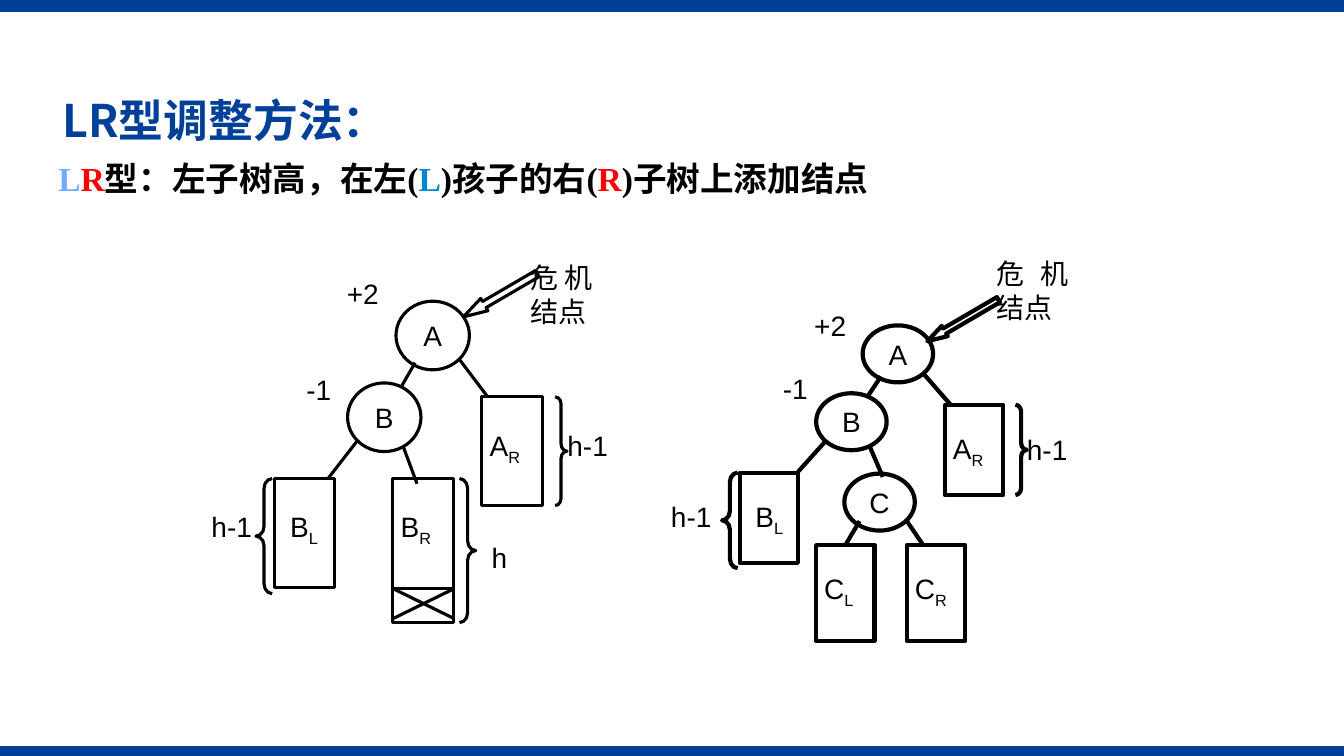
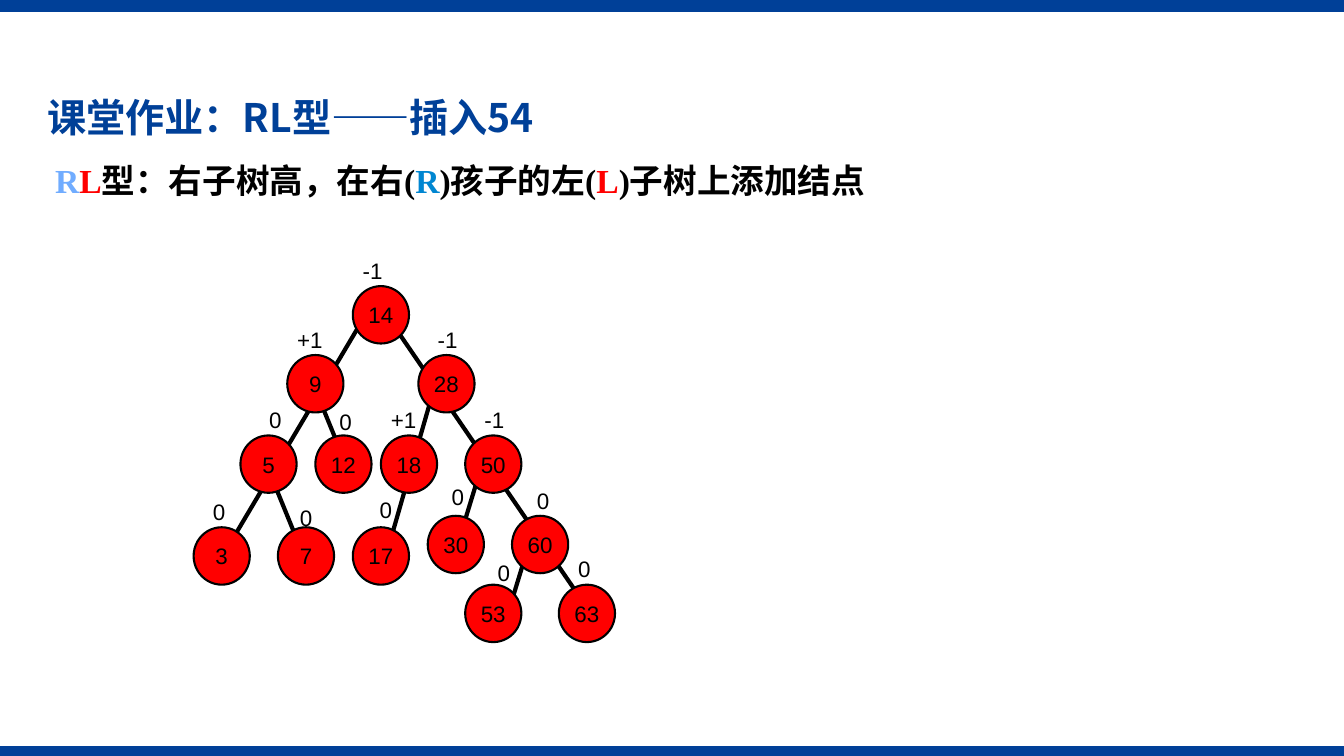
from dataclasses import dataclass

from lxml.etree import SubElement
from pptx import Presentation
from pptx.dml.color import RGBColor
from pptx.enum.shapes import MSO_CONNECTOR, MSO_SHAPE as Shape
from pptx.enum.text import MSO_ANCHOR as Anchor, PP_ALIGN as Align
from pptx.oxml.ns import qn
from pptx.util import Cm, Pt


@dataclass(frozen=True)
class Theme:
    """Colours, fonts and sizes that both slides share."""
    brand: str = "004098"
    ink: str = "000000"
    sky: str = "70ACFF"
    azure: str = "0086D1"
    red: str = "FF0000"
    cjk: str = "Noto Sans CJK SC"
    serif: str = "Times New Roman"
    sans: str = "Arial"
    intro: int = 24
    label: int = 20
    node: int = 16
    node_pen: float = 1.5
    branch_pen: float = 3
    width: float = 33.87
    height: float = 19.05


@dataclass(frozen=True)
class Case:
    """Place, scale and label positions of one unbalanced tree."""
    left: float
    top: float
    across: float
    down: float
    pen: float
    shift: float
    labels: tuple
    crisis: tuple

    def box(self, x, y, w, h):
        """Return a scaled local box in slide centimetres."""
        return (self.left + x * self.across, self.top + y * self.down,
                w * self.across, h * self.down)

    def point(self, x, y):
        """Return a scaled local point in slide centimetres."""
        return self.box(x, y, 0, 0)[:2]


THEME = Theme()

LABELS = ("+2", "-1", "h-1", "h-1")

PLAIN = Case(9.98, 7.59, 1, 1, 2.25, 0,
             ((-1.24, -0.71), (-2.26, 1.7), (-4.65, 5.16), (4.32, 3.1)),
             (3.38, -1.12, 1.57, 0.1))
DETAILED = Case(21.74, 8.2, 0.96, 0.83, 3, -0.16,
                ((-1.22, -0.53), (-2.01, 1.07), (-4.83, 4.29), (4.14, 2.59)),
                (3.38, -1.73, 1.8, 0))

NODES = (
    ("14", 17, 0, "-1", 17, -3),
    ("9", 10, 6, "+1", 10, 3),
    ("28", 24, 6, "-1", 25, 3),
    ("5", 5, 13, "0", 7, 10),
    ("12", 13, 13, "0", 14.5, 10.2),
    ("18", 20, 13, "+1", 20, 10),
    ("50", 29, 13, "-1", 30, 10),
    ("3", 0, 21, "0", 1, 18),
    ("7", 9, 21, "0", 10.3, 18.5),
    ("17", 17, 21, "0", 18.8, 17.8),
    ("30", 25, 20, "0", 26.5, 16.7),
    ("60", 34, 20, "0", 35.6, 17.1),
    ("53", 29, 26, "0", 31.4, 23.3),
    ("63", 39, 26, "0", 40, 23),
)
BRANCHES = (
    (31, 15, 28, 23), (36, 22, 33, 30), (13, 9, 17, 17), (8, 16, 12, 24),
    (26, 8, 20, 25), (21, 3, 42, 28), (18, 3, 2, 25),
)


def rgb(code):
    """Return a colour from its hex code."""
    return RGBColor.from_string(code)


def write(frame, runs, size, font=THEME.sans, bold=False, align=Align.LEFT,
          anchor=Anchor.TOP, insets=(0.25, 0.13), wrap=True):
    """Fill a text frame with (text, colour, subscript) runs."""
    frame.word_wrap = wrap
    frame.vertical_anchor = anchor
    frame.margin_left, frame.margin_top = map(Cm, insets)
    frame.margin_right = Cm(min(insets[0], 0.25))
    frame.margin_bottom = Cm(min(insets[1], 0.13))
    paragraph = frame.paragraphs[0]
    paragraph.alignment = align
    for text, colour, subscript in runs:
        run = paragraph.add_run()
        run.text = text
        run.font.name = font
        run.font.size = Pt(size)
        run.font.bold = bold
        run.font.color.rgb = rgb(colour)
        props = run._r.get_or_add_rPr()
        SubElement(props, qn("a:ea")).set("typeface", THEME.cjk)
        if subscript:
            props.set("baseline", "-25000")
    return paragraph


def add_text(slide, box, runs, size, **style):
    """Add a text box and return its paragraph."""
    frame = slide.shapes.add_textbox(*map(Cm, box)).text_frame
    return write(frame, runs, size, **style)


def add_figure(slide, kind, box, fill=None, pen=None, adjust=()):
    """Add a preset shape with a plain fill and outline."""
    figure = slide.shapes.add_shape(kind, *map(Cm, box))
    figure.shadow.inherit = False
    if fill:
        figure.fill.solid()
        figure.fill.fore_color.rgb = rgb(fill)
    else:
        figure.fill.background()
    if pen:
        figure.line.color.rgb = rgb(THEME.ink)
        figure.line.width = Pt(pen)
    else:
        figure.line.fill.background()
    for index, value in enumerate(adjust):
        figure.adjustments[index] = value
    return figure


def add_edge(slide, start, end, pen):
    """Draw a straight line between two points."""
    edge = slide.shapes.add_connector(
        MSO_CONNECTOR.STRAIGHT, *map(Cm, (*start, *end)))
    edge.line.color.rgb = rgb(THEME.ink)
    edge.line.width = Pt(pen)
    SubElement(edge._element.spPr, qn("a:effectLst"))
    return edge


def add_bands(slide):
    """Draw the top and bottom bands."""
    for top, height in ((0, 0.3), (THEME.height - 0.25, 0.25)):
        add_figure(slide, Shape.RECTANGLE, (0, top, THEME.width, height),
                   THEME.brand)


def add_title(slide, box, text, size, anchor):
    """Write the slide title."""
    title = add_text(slide, box, [(text, THEME.brand, False)], size,
                     font=THEME.cjk, bold=True, anchor=anchor)
    title.line_spacing = 0.9


def add_intro(slide, left, top, letters, sides):
    """Write the sentence that explains a rotation type."""
    (first, second), (high, inner) = letters, sides
    pieces = ((first, THEME.sky), (second, THEME.red),
              (f"型：{high}子树高，在{high}(", THEME.ink),
              (first, THEME.azure), (f")孩子的{inner}(", THEME.ink),
              (second, THEME.red), (")子树上添加结点", THEME.ink))
    add_text(slide, (left, top, 24.8, 1.27),
             [(text, colour, False) for text, colour in pieces],
             THEME.intro, font=THEME.serif, bold=True)


def add_label(slide, case, x, y, text):
    """Write a height or balance label near the tree."""
    add_text(slide, (case.left + x, case.top + y, 1.5, 1.1),
             [(text, THEME.ink, False)], THEME.label, insets=(0, 0.1))


def add_circle(slide, case, x, y, name):
    """Draw a named tree node."""
    circle = add_figure(slide, Shape.OVAL, case.box(x, y, 1.85, 1.73),
                        pen=case.pen)
    write(circle.text_frame, [(name, THEME.ink, False)], THEME.label,
          align=Align.CENTER, anchor=Anchor.MIDDLE, insets=(0, 0.1))


def add_subtree(slide, case, x, y, height, name, indent=0.2):
    """Draw a subtree block whose name has a subscript."""
    subtree = add_figure(slide, Shape.RECTANGLE,
                         case.box(x, y, 1.53, height), pen=case.pen)
    write(subtree.text_frame,
          [(name[0], THEME.ink, False), (name[1], THEME.ink, True)],
          THEME.label, insets=(indent, 0.69 * case.down + 0.1))
    return subtree


def add_brace(slide, case, kind, box):
    """Draw a brace that marks a height."""
    add_figure(slide, kind, case.box(*box), pen=case.pen, adjust=(0.6, 0.5))


def add_case(slide, case):
    """Draw the parts common to both unbalanced trees."""
    add_circle(slide, case, 0, 0, "A")
    add_circle(slide, case, -1.22, 2.06, "B")
    add_subtree(slide, case, -3.07 + case.shift, 4.47, 2.74, "BL", 0.4)
    add_subtree(slide, case, 2.16, 2.41, 2.74, "AR")
    add_brace(slide, case, Shape.LEFT_BRACE,
              (-3.53 + case.shift, 4.47, 0.41, 2.9))
    add_brace(slide, case, Shape.RIGHT_BRACE, (4.01, 2.41, 0.3, 2.74))
    for start, end in (((0.48, 1.55), (0.13, 2.16)),
                       ((-0.97, 3.51), (-1.7, 4.45)),
                       ((0.18, 3.66), (0.53, 4.6)),
                       ((1.6, 1.47), (2.31, 2.41))):
        add_edge(slide, case.point(*start), case.point(*end), case.pen)
    for text, (x, y) in zip(LABELS, case.labels):
        add_label(slide, case, x, y, text)
    arrow = add_figure(slide, Shape.LEFT_ARROW,
                       case.box(1.55, -0.33, 2.16, 0.36),
                       pen=case.pen, adjust=(0.5, 1.7))
    arrow.rotation = 329.7
    x, y, width, inset = case.crisis
    add_text(slide, (case.left + x, case.top + y, width, 1),
             [("危机结点", THEME.ink, False)], THEME.label,
             align=Align.JUSTIFY, insets=(0, inset))


def add_inserted_block(slide, case):
    """Draw the right subtree of B with its inserted node."""
    left, right, upper, lower = -0.08, 1.47, 7.24, 8
    add_subtree(slide, case, left, 4.47, 3.63, "BR")
    for start, end in (((left, upper), (right, upper)),
                       ((right, upper), (left, lower)),
                       ((left, upper), (right, lower))):
        add_edge(slide, case.point(*start), case.point(*end), case.pen)
    add_brace(slide, case, Shape.RIGHT_BRACE, (1.6, 4.47, 0.41, 3.63))
    add_label(slide, case, 2.41, 5.92, "h")


def add_expanded_child(slide, case):
    """Draw node C with its two subtrees."""
    add_circle(slide, case, -0.48, 4.5, "C")
    left_subtree = add_subtree(slide, case, -1.22, 6.67, 2.91, "CL")
    add_subtree(slide, case, 1.16, 6.67, 2.91, "CR")
    left_edge = add_edge(slide, case.point(-0.08, 5.94),
                         case.point(-0.46, 6.67), case.pen)
    left_edge.end_connect(left_subtree, 0)
    add_edge(slide, case.point(1.16, 5.94), case.point(1.59, 6.67), case.pen)


def add_search_tree(slide, left, top, width, height):
    """Draw the numbered tree on a grid of 45 columns and 31 rows."""
    column, row = width / 45, height / 31

    def spot(x, y):
        """Return a grid position in slide centimetres."""
        return left + x * column, top + y * row

    for x1, y1, x2, y2 in BRANCHES:
        add_edge(slide, spot(x1, y1), spot(x2, y2), THEME.branch_pen)
    for value, x, y, balance, balance_x, balance_y in NODES:
        node = add_figure(slide, Shape.OVAL,
                          (*spot(x, y), 6 * column, 5 * row),
                          THEME.red, THEME.node_pen)
        write(node.text_frame, [(value, THEME.ink, False)], THEME.node,
              align=Align.CENTER, anchor=Anchor.MIDDLE, wrap=False)
        add_text(slide, (*spot(balance_x, balance_y), 1.2, 0.94),
                 [(balance, THEME.ink, False)], THEME.node)


def build_method(slide):
    """Build the slide on the LR adjustment."""
    add_bands(slide)
    add_case(slide, PLAIN)
    add_inserted_block(slide, PLAIN)
    add_case(slide, DETAILED)
    add_expanded_child(slide, DETAILED)
    add_title(slide, (1.32, 2.36, 12, 1.5), "LR型调整方法：", 32, Anchor.TOP)
    add_intro(slide, 1.22, 3.84, "LR", "左右")


def build_exercise(slide):
    """Build the slide with the RL exercise."""
    add_bands(slide)
    add_title(slide, (0.94, 1.52, 21.6, 3), "课堂作业：RL型——插入54", 28,
              Anchor.MIDDLE)
    add_search_tree(slide, 4.88, 7.21, 10.62, 8.97)
    add_intro(slide, 1.14, 3.89, "RL", "右左")


def main():
    """Build and save the presentation."""
    deck = Presentation()
    deck.slide_width, deck.slide_height = Cm(THEME.width), Cm(THEME.height)
    for build in (build_method, build_exercise):
        build(deck.slides.add_slide(deck.slide_layouts[6]))
    deck.save("out.pptx")


if __name__ == "__main__":
    main()
